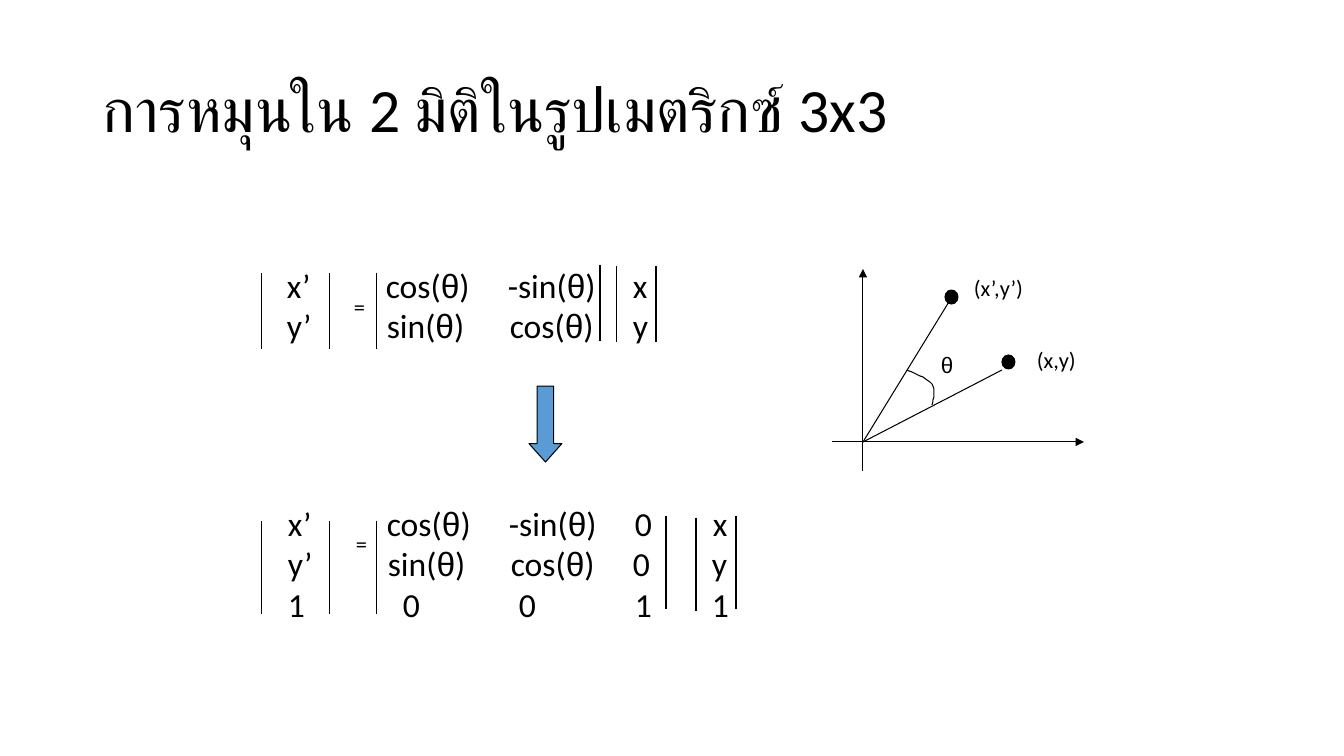
"""Build the slide on 2D rotation written as a 3x3 matrix."""
from lxml import etree
from pptx import Presentation
from pptx.dml.color import RGBColor
from pptx.enum.shapes import MSO_CONNECTOR, MSO_SHAPE
from pptx.enum.text import MSO_ANCHOR
from pptx.oxml.ns import qn
from pptx.util import Emu, Pt

STRAIGHT = MSO_CONNECTOR.STRAIGHT
OVAL, DOWN_ARROW = MSO_SHAPE.OVAL, MSO_SHAPE.DOWN_ARROW
TOP, MIDDLE = MSO_ANCHOR.TOP, MSO_ANCHOR.MIDDLE
PX = 914400 / 100.8
COLORS = {"ink": "000000", "arrow": "5B9BD5"}
THETA = "θ"

TITLE = "การหมุนใน 2 มิติในรูปเมตริกซ์ 3x3"
MATRICES = [
    {"box": (277, 260, 389, 92), "bar_height": 76,
     "rows": [(["x’", "cos(θ)", "-sin(θ)", "x"], [386, 508, 633]),
              (["y’", "sin(θ)", "cos(θ)", "y"], [387, 510, 633])],
     "bars": [(262, 273), (330, 273), (377, 273), (600, 265), (617, 266), (656, 266)]},
    {"box": (278, 498, 468, 132), "bar_height": 93,
     "rows": [(["x’", "cos(θ)", "-sin(θ)", "0", "x"], [387, 509, 635, 713]),
              (["y’", "sin(θ)", "cos(θ)", "0", "y"], [388, 511, 633, 712]),
              (["1", "0", "0", "1", "1"], [403, 519, 635, 712])],
     "bars": [(262, 521), (330, 521), (377, 521), (666, 516), (696, 518), (736, 516)]},
]
LABELS = [("=", (344, 288, 31, 37)), ("=", (346, 525, 31, 37)),
          ("(x,y)", (1027, 341, 65, 37)), ("(x’,y’)", (964, 269, 76, 37)),
          (THETA, (931, 346, 32, 37))]
ORIGIN = (863, 442)
AXES = [((832, 442), (1084, 442)), ((863, 471), (863, 269))]
RAY_ENDS = [(1002, 370), (952, 297)]
DOTS = [(1002, 355, 13, 14), (945, 290, 13, 14)]
ARC = [[(932, 405), (934, 398), (936, 390), (932, 384)],
       [(932, 384), (928, 378), (911, 372), (907, 370)]]
ARROW = (529, 386, 33, 76)


def emu(*lengths):
    return [Emu(round(n * PX)) for n in lengths]


def color(name):
    return RGBColor.from_string(COLORS[name])


def add_text(lines, box, size, anchor=TOP, spacing=1.0, tabs=()):
    tf = s.shapes.add_textbox(*emu(*box)).text_frame
    tf.word_wrap = True
    tf.vertical_anchor = anchor
    for i, line in enumerate(lines):
        p = tf.paragraphs[0] if i == 0 else tf.add_paragraph()
        p.line_spacing = spacing
        if tabs:
            tab_list = etree.SubElement(p._p.get_or_add_pPr(), qn("a:tabLst"))
            for x in tabs[i]:
                offset = emu(x - box[0])[0] - tf.margin_left
                etree.SubElement(tab_list, qn("a:tab"), pos=str(offset), algn="l")
        before, *rest = line.split(THETA)
        pieces = [before] + [piece for part in rest for piece in (THETA, part)]
        for piece in filter(None, pieces):
            r = p.add_run()
            r.text = piece
            r.font.size = Pt(size)
            r.font.name = "Arial" if piece == THETA else "Calibri"
            r.font.color.rgb = color("ink")


def outline(sp):
    sp.line.color.rgb = color("ink")
    sp.line.width = Pt(0.75)


def add_line(start, end, head=False):
    sp = s.shapes.add_connector(STRAIGHT, *emu(*start, *end))
    outline(sp)
    if head:
        etree.SubElement(sp.line._get_or_add_ln(), qn("a:tailEnd"), type="triangle")
    etree.SubElement(sp._element.spPr, qn("a:effectLst"))


def add_filled(kind, box, fill):
    sp = s.shapes.add_shape(kind, *emu(*box))
    sp.shadow.inherit = False
    sp.fill.solid()
    sp.fill.fore_color.rgb = color(fill)
    outline(sp)
    return sp


def bezier(points, t):
    weights = ((1 - t) ** 3, 3 * t * (1 - t) ** 2, 3 * t * t * (1 - t), t ** 3)
    return tuple(sum(w * n for w, n in zip(weights, axis)) for axis in zip(*points))


def add_arc(curves, steps=8):
    points = [bezier(c, i / steps) for c in curves for i in range(1, steps + 1)]
    builder = s.shapes.build_freeform(*curves[0][0], scale=PX)
    builder.add_line_segments(points, close=False)
    sp = builder.convert_to_shape()
    sp.shadow.inherit = False
    sp.fill.background()
    outline(sp)


prs = Presentation()
prs.slide_width, prs.slide_height = emu(1344, 756)
s = prs.slides.add_slide(prs.slide_layouts[6])

add_text([TITLE], (93, 40, 1159, 146), 44, anchor=MIDDLE, spacing=0.9)
for matrix in MATRICES:
    add_text(["\t".join(cells) for cells, _ in matrix["rows"]], matrix["box"], 24,
             tabs=[stops for _, stops in matrix["rows"]])
    for x, y in matrix["bars"]:
        add_line((x, y), (x, y + matrix["bar_height"]))

for start, end in AXES:
    add_line(start, end, head=True)
for end in RAY_ENDS:
    add_line(ORIGIN, end)
for dot in DOTS:
    add_filled(OVAL, dot, "ink")
add_arc(ARC)
for label, box in LABELS:
    add_text([label], box, 16)

arrow = add_filled(DOWN_ARROW, ARROW, "arrow")
arrow.adjustments[0], arrow.adjustments[1] = 0.5, 0.56

prs.save("out.pptx")
